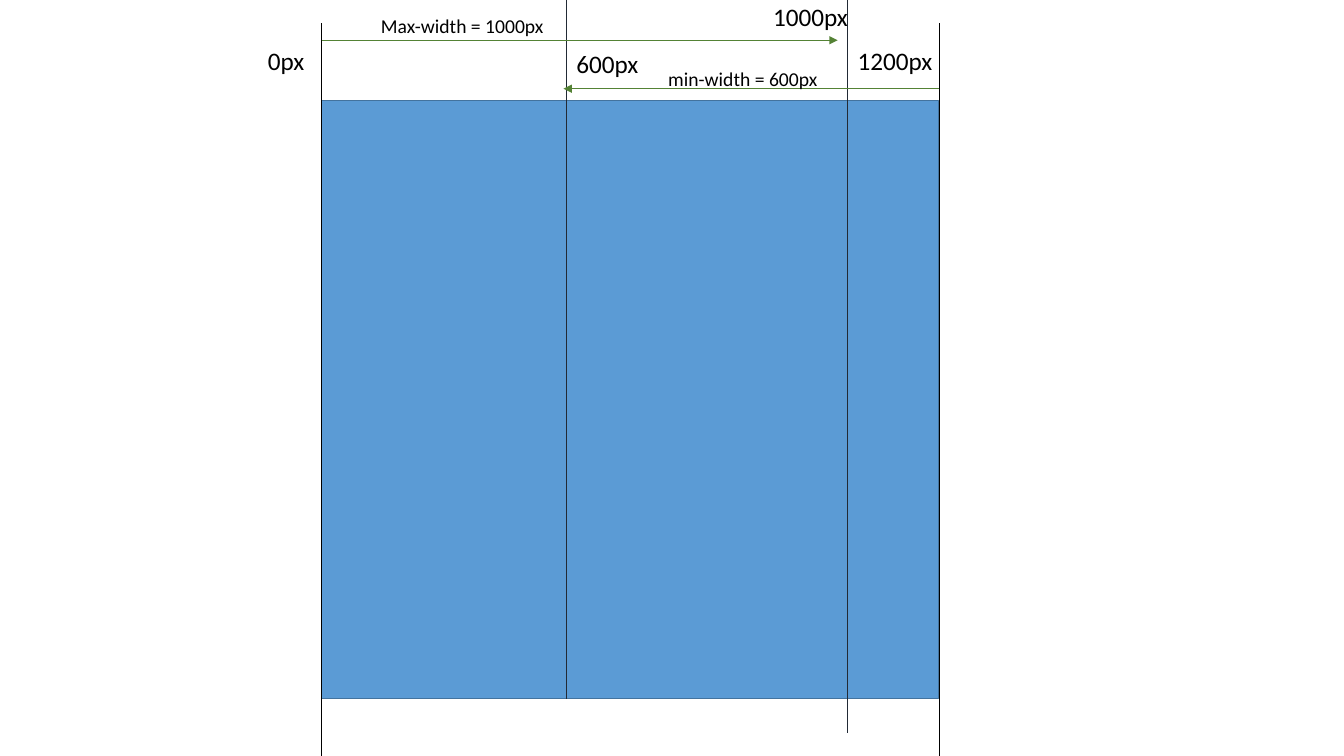
from lxml import etree
from pptx import Presentation
from pptx.dml.color import RGBColor
from pptx.enum.shapes import MSO_CONNECTOR, MSO_SHAPE
from pptx.enum.text import MSO_AUTO_SIZE
from pptx.oxml.ns import qn
from pptx.util import Pt

RECT = MSO_SHAPE.RECTANGLE
STRAIGHT = MSO_CONNECTOR.STRAIGHT
FIT_SHAPE = MSO_AUTO_SIZE.SHAPE_TO_FIT_TEXT

BLACK, NAVY, GREEN = "000000", "222A35", "548235"

# Offsets from the top left corner of the viewport box, in points
X_600, X_1000, X_1200 = 175, 375.8, 441.4
BREAKPOINTS = [  # x, top, bottom, colour
    (0, -55.4, 468, BLACK),
    (X_1000, -72, 451.4, NAVY),
    (X_1200, -55.4, 468, BLACK),
    (X_600, -72, 427, NAVY),
]
RANGES = [  # from x, to x, y
    (X_1200, 172.8, -8.6),
    (0, 368.6, -43.2),
]
LABELS = [  # text, x, y, width, height, size
    ("0px", -45.4, -43.2, 45.4, 29, 18),
    ("1200px", X_1000, -43.2, 72.7, 29, 18),
    ("600px", X_600, -41, 60.5, 29, 18),
    ("min-width = 600px", 240.5, -27.4, 200.2, 24.5, 14),
    ("Max-width = 1000px", 35.3, -65.5, 200.2, 24.5, 14),
    ("1000px", 315.4, -74.9, 85.7, 29, 18),
]


def rgb(color):
    return RGBColor.from_string(color)


def add_line(s, x1, y1, x2, y2, color, arrow=False):
    line = s.shapes.add_connector(STRAIGHT, Pt(x1), Pt(y1), Pt(x2), Pt(y2))
    line.line.color.rgb = rgb(color)
    line.line.width = Pt(0.5)
    if arrow:
        ln = line.line._get_or_add_ln()
        etree.SubElement(ln, qn("a:tailEnd"), type="triangle")
    etree.SubElement(line._element.spPr, qn("a:effectLst"))


def add_label(s, text, x, y, w, h, size):
    sp = s.shapes.add_textbox(Pt(x), Pt(y), Pt(w), Pt(h))
    tf = sp.text_frame
    tf.word_wrap = True
    tf.auto_size = FIT_SHAPE
    r = tf.paragraphs[0].add_run()
    r.text = text
    r.font.name = "Calibri"
    r.font.size = Pt(size)
    r.font.color.rgb = rgb(BLACK)


def add_viewport(s, left, top, width, height):
    # Viewport area
    sp = s.shapes.add_shape(RECT, Pt(left), Pt(top), Pt(width), Pt(height))
    sp.shadow.inherit = False
    sp.fill.solid()
    sp.fill.fore_color.rgb = rgb("5B9BD5")
    sp.line.color.rgb = rgb("43739E")
    sp.line.width = Pt(1)

    # Vertical breakpoint lines
    for x, y1, y2, color in BREAKPOINTS:
        add_line(s, left + x, top + y1, left + x, top + y2, color)

    # Arrows for the ranges of the media queries
    for x1, x2, y in RANGES:
        add_line(s, left + x1, top + y, left + x2, top + y, GREEN, arrow=True)

    # Labels
    for text, x, y, w, h, size in LABELS:
        add_label(s, text, left + x, top + y, w, h, size)


def main():
    prs = Presentation()
    prs.slide_width, prs.slide_height = Pt(960), Pt(540)
    s = prs.slides.add_slide(prs.slide_layouts[6])
    add_viewport(s, 229.7, 72, 440.6, 427)
    prs.save("out.pptx")


if __name__ == "__main__":
    main()
